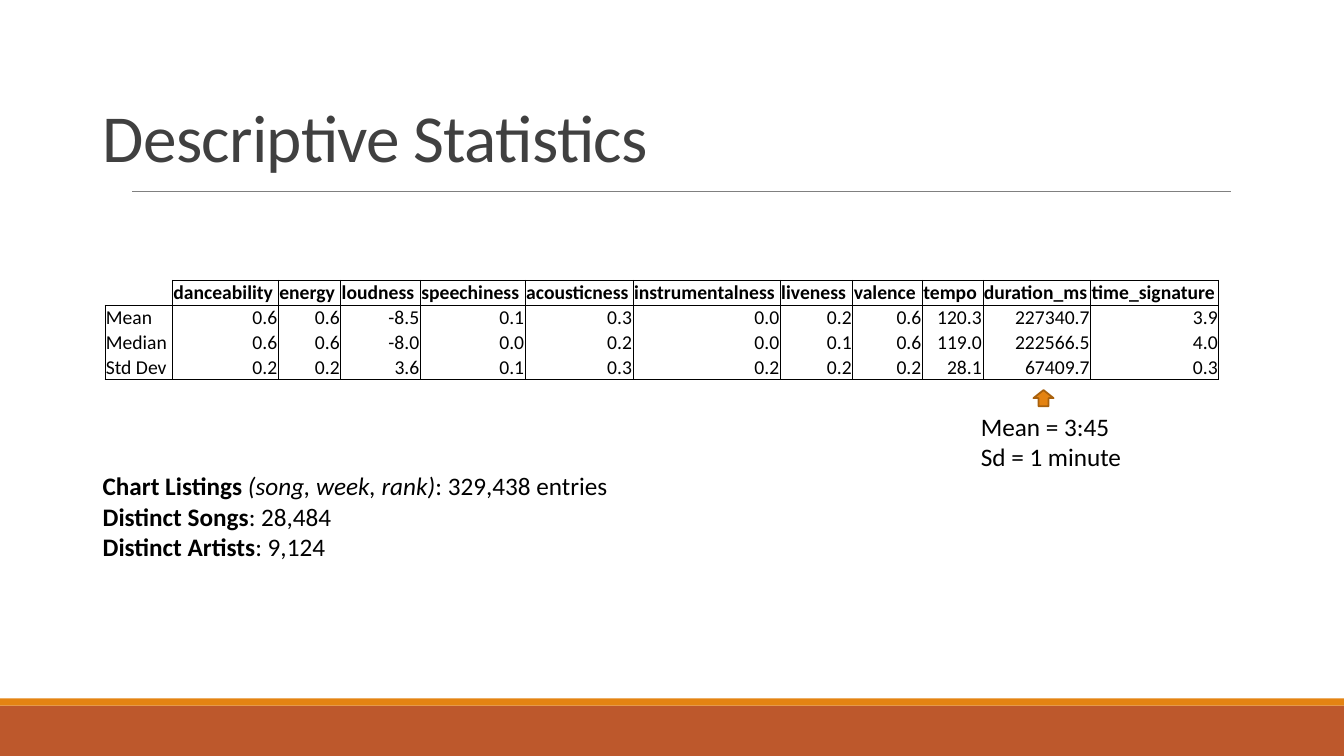
from lxml.etree import SubElement
from pptx import Presentation
from pptx.dml.color import RGBColor
from pptx.enum.shapes import MSO_CONNECTOR, MSO_SHAPE
from pptx.enum.text import MSO_ANCHOR, MSO_AUTO_SIZE, PP_ALIGN
from pptx.oxml.ns import qn
from pptx.util import Pt

PX = 9144  # 100 px to the inch


def rgb(code):
    return RGBColor.from_string(code)


def add_run(p, text, size, color="000000", bold=False, italic=False):
    r = p.add_run()
    r.text = text
    r.font.name = "Calibri"
    r.font.size = Pt(size)
    r.font.bold = bold
    r.font.italic = italic
    r.font.color.rgb = rgb(color)
    return r


prs = Presentation()
prs.slide_width, prs.slide_height = 1333 * PX, 750 * PX
s = prs.slides.add_slide(prs.slide_layouts[5])

# Footer bands and upward arrow
for kind, x, y, w, h, fill, line in [
    (MSO_SHAPE.RECTANGLE, 0, 700, 1333, 50, "BD582C", None),
    (MSO_SHAPE.RECTANGLE, 0, 693, 1333, 7, "E48312", None),
    (MSO_SHAPE.UP_ARROW, 1025, 387, 20, 16, "E48312", "A9610D"),
]:
    sp = s.shapes.add_shape(kind, x * PX, y * PX, w * PX, h * PX)
    sp.shadow.inherit = False
    sp.fill.solid()
    sp.fill.fore_color.rgb = rgb(fill)
    if line:
        sp.line.color.rgb = rgb(line)
        sp.line.width = Pt(1.25)
    else:
        sp.line.fill.background()

# Rule under the title
rule = s.shapes.add_connector(MSO_CONNECTOR.STRAIGHT, 131 * PX, 190 * PX, 1221 * PX, 190 * PX)
rule.line.color.rgb = rgb("808080")
rule.line.width = Pt(0.5)
SubElement(rule._element.spPr, qn("a:effectLst"))

# Title
title = s.shapes.title
title.left, title.top, title.width, title.height = 92 * PX, 35 * PX, 1150 * PX, 145 * PX
tf = title.text_frame
tf.word_wrap = True
tf.auto_size = MSO_AUTO_SIZE.NONE
tf.vertical_anchor = MSO_ANCHOR.BOTTOM
p = tf.paragraphs[0]
p.alignment = PP_ALIGN.LEFT
p.line_spacing = 0.85
r = add_run(p, "Descriptive Statistics", 48, "404040")
r.font._element.set("spc", "-50")

# Statistics table
rows = [
    ["", "danceability", "energy", "loudness", "speechiness", "acousticness", "instrumentalness",
     "liveness", "valence", "tempo", "duration_ms", "time_signature"],
    ["Mean", "0.6", "0.6", "-8.5", "0.1", "0.3", "0.0", "0.2", "0.6", "120.3", "227340.7", "3.9"],
    ["Median", "0.6", "0.6", "-8.0", "0.0", "0.2", "0.0", "0.1", "0.6", "119.0", "222566.5", "4.0"],
    ["Std Dev", "0.2", "0.2", "3.6", "0.1", "0.3", "0.2", "0.2", "0.2", "28.1", "67409.7", "0.3"],
]
widths = [67, 105, 62, 79, 104, 107, 146, 72, 69, 60, 107, 127]
frame = s.shapes.add_table(len(rows), len(widths), 104 * PX, 278 * PX, sum(widths) * PX, 80 * PX)
table = frame.table
table.first_row = table.horz_banding = False
for column, width in zip(table.columns, widths):
    column.width = width * PX
for i, row in enumerate(rows):
    table.rows[i].height = 20 * PX
    for j, text in enumerate(row):
        cell = table.cell(i, j)
        cell.margin_left = cell.margin_right = cell.margin_top = PX
        cell.margin_bottom = 0
        cell.vertical_anchor = MSO_ANCHOR.BOTTOM
        p = cell.text_frame.paragraphs[0]
        if text:
            p.alignment = PP_ALIGN.RIGHT if i and j else PP_ALIGN.LEFT
            add_run(p, text, 14, bold=i == 0)
        else:
            SubElement(p._p, qn("a:endParaRPr"), sz="1400")

        # Box the header cells; box each column of values as a whole
        corner = i == 0 and j == 0
        borders = {"lnL": not corner, "lnR": True,
                   "lnT": i == 1 or (i == 0 and not corner), "lnB": i in (0, 3)}
        for side, shown in borders.items():
            ln = SubElement(cell._tc.get_or_add_tcPr(), qn("a:" + side), w=str(Pt(0.5)))
            if shown:
                fill = SubElement(ln, qn("a:solidFill"))
                SubElement(fill, qn("a:srgbClr"), val="000000")
            else:
                SubElement(ln, qn("a:noFill"))
        cell.fill.background()

# Notes below the table: runs of (text, bold, italic)
for x, y, w, h, lines in [
    (92, 462, 524, 101, [
        [("Chart Listings ", True, False), ("(song, week, rank)", False, True),
         (": 329,438 entries", False, False)],
        [("Distinct Songs", True, False), (": 28,484", False, False)],
        [("Distinct Artists", True, False), (": 9,124", False, False)],
    ]),
    (963, 403, 161, 71, [
        [("Mean = 3:45", False, False)],
        [("Sd = 1 minute", False, False)],
    ]),
]:
    tf = s.shapes.add_textbox(x * PX, y * PX, w * PX, h * PX).text_frame
    tf.word_wrap = False
    tf.auto_size = MSO_AUTO_SIZE.SHAPE_TO_FIT_TEXT
    for i, runs in enumerate(lines):
        p = tf.add_paragraph() if i else tf.paragraphs[0]
        for text, bold, italic in runs:
            add_run(p, text, 18, bold=bold, italic=italic)

prs.save("out.pptx")
